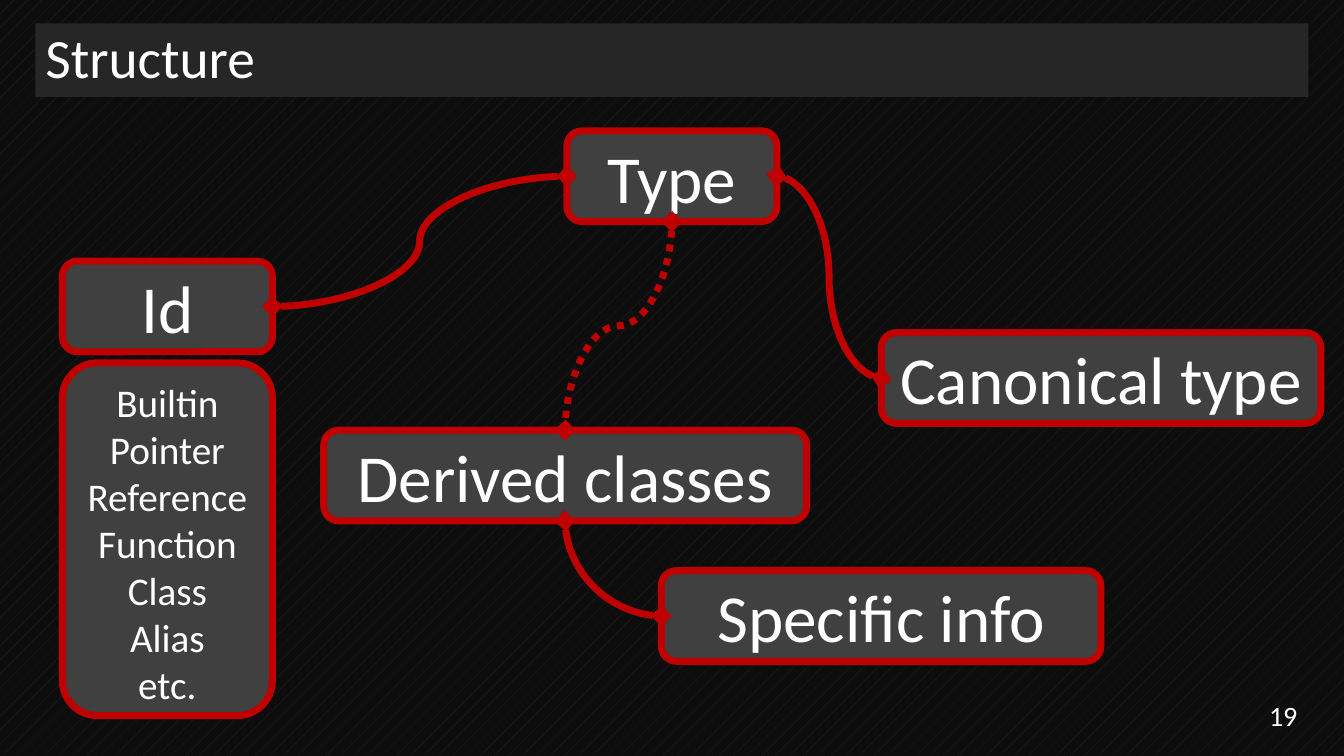
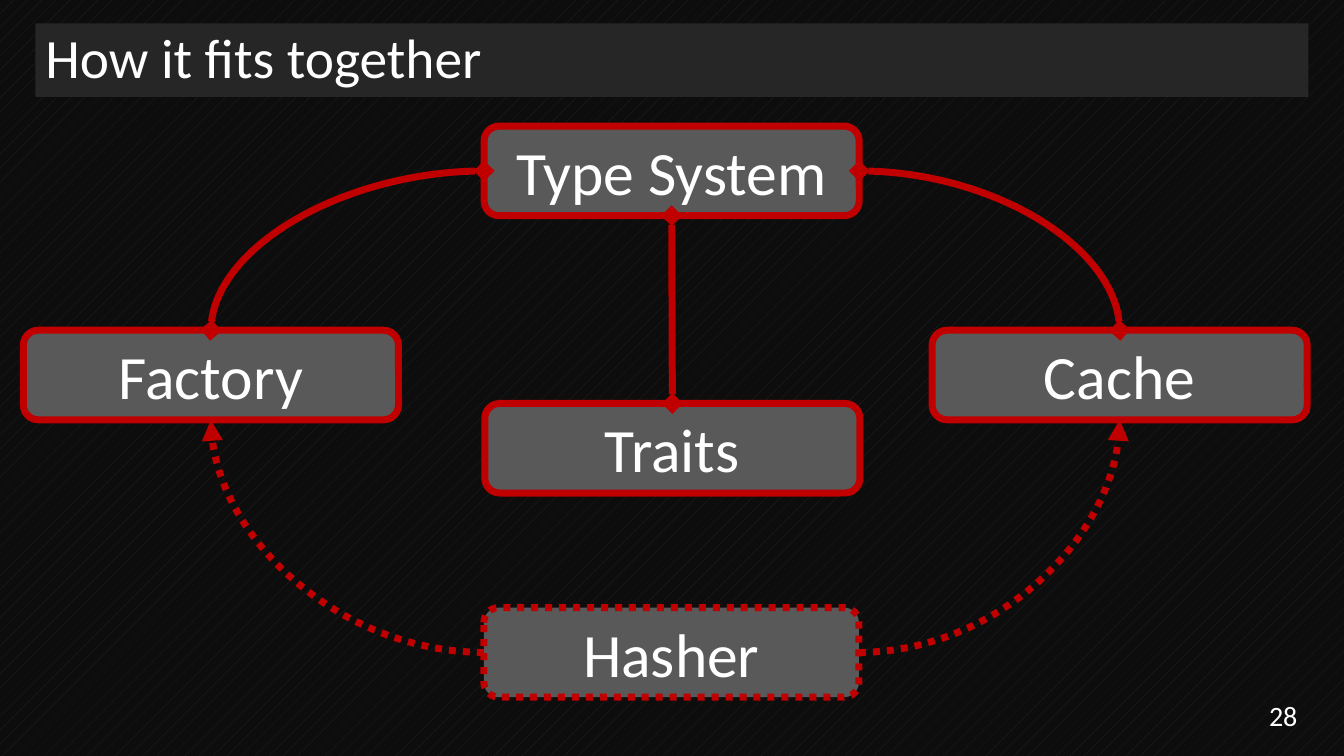
from dataclasses import dataclass
from lxml.etree import SubElement as Sub
from pptx import Presentation
from pptx.dml.color import RGBColor as RGB
from pptx.enum.dml import MSO_LINE as Dash, MSO_PATTERN as Pattern
from pptx.enum.shapes import MSO_CONNECTOR as Link, MSO_SHAPE as Form
from pptx.enum.text import MSO_ANCHOR as Anchor, MSO_AUTO_SIZE as Fit, PP_ALIGN as Align
from pptx.oxml.ns import qn
from pptx.util import Pt


@dataclass(frozen=True)
class Theme:
    font: str = "Calibri"
    back: RGB = RGB(0x0D, 0x0D, 0x0D)
    band: RGB = RGB(0x26, 0x26, 0x26)
    dark: RGB = RGB(0x40, 0x40, 0x40)
    grey: RGB = RGB(0x59, 0x59, 0x59)
    red: RGB = RGB(0xC0, 0x00, 0x00)
    white: RGB = RGB(0xFF, 0xFF, 0xFF)
    title: float = 39.6
    large: float = 48
    mid: float = 44
    small: float = 28
    page: float = 20
    line: float = 5


T = Theme()
TOP, LEFT, BOTTOM, RIGHT = range(4)  # connection sites of a box


# Formatting helpers
def apply(obj, values):
    for name, value in values.items():
        setattr(obj, name, value)


def place(left, top, width, height):
    return dict(left=Pt(left), top=Pt(top), width=Pt(width), height=Pt(height))


def paint(fill, color):
    fill.solid()
    fill.fore_color.rgb = color


def stroke(line, dotted):
    line.color.rgb = T.red
    line.width = Pt(T.line)
    if dotted:
        line.dash_style = Dash.ROUND_DOT


def write(shape, text, size, align, anchor=Anchor.MIDDLE, **para):
    frame = shape.text_frame
    frame.text = text
    apply(frame, dict(word_wrap=True, auto_size=Fit.NONE, vertical_anchor=anchor))
    for line in frame.paragraphs:
        apply(line, dict(alignment=align, **para))
        for run in line.runs:
            apply(run.font, dict(name=T.font, size=Pt(size)))
            run.font.color.rgb = T.white


# Shared frame: title band and page number
def start(deck, title, page):
    slide = deck.slides.add_slide(deck.slide_layouts[5])
    band = slide.shapes.title
    apply(band, place(25.2, 16.6, 909.4, 52.6))
    paint(band.fill, T.band)
    write(band, title, T.title, Align.LEFT, line_spacing=0.9)
    num = slide.shapes.add_textbox(**place(852.5, 496.8, 81.4, 28.8))
    write(num, page, T.page, Align.RIGHT)
    return slide


# Diagram parts
def box(slide, text, spot, fill, size, dotted=False, anchor=Anchor.MIDDLE):
    shape = slide.shapes.add_shape(Form.ROUNDED_RECTANGLE, **place(*spot))
    shape.shadow.inherit = False
    paint(shape.fill, fill)
    stroke(shape.line, dotted)
    write(shape, text, size, Align.CENTER, anchor)
    return shape


def join(slide, first, site, last, goal, kind=Link.CURVE,
         dotted=False, head="diamond", tail="diamond"):
    link = slide.shapes.add_connector(kind, 0, 0, 0, 0)
    link.begin_connect(first, site)
    link.end_connect(last, goal)
    stroke(link.line, dotted)
    props = link.element.spPr
    Sub(props, qn("a:effectLst"))
    ends = props.find(qn("a:ln"))
    for tag, end in (("a:headEnd", head), ("a:tailEnd", tail)):
        if end:
            Sub(ends, qn(tag), type=end)
    if kind == Link.CURVE:
        if site % 2 != goal % 2:
            props.find(qn("a:prstGeom")).set("prst", "curvedConnector2")
        elif site == BOTTOM:
            turn(link)
    return link


def turn(link):
    """Make a curve that runs down to the left leave vertically."""
    wide, high = link.width, link.height
    shift = (wide - high) // 2
    apply(link, dict(left=link.left + shift, top=link.top - shift,
                     width=high, height=wide))
    form = link.element.spPr.find(qn("a:xfrm"))
    form.attrib.pop("flipH", None)
    form.set("rot", "5400000")


# Slides
def structure(deck):
    slide = start(deck, "Structure", "19")
    high = 64.8

    def node(text, left, top, width):
        return box(slide, text, (left, top, width, high), T.dark, T.large)

    base = node("Type", 404.9, 93.5, 150)
    ident = node("Id", 44.6, 186.5, 150)
    canon = node("Canonical type", 629.5, 237.6, 314)
    derived = node("Derived classes", 231.2, 307.3, 345)
    info = node("Specific info", 472.4, 407.6, 314)
    kinds = "Builtin\nPointer\nReference\nFunction\nClass\nAlias\netc."
    box(slide, kinds, (44.6, 259.2, 150, 252), T.dark, T.small, anchor=Anchor.TOP)

    join(slide, base, LEFT, ident, RIGHT)
    join(slide, base, RIGHT, canon, LEFT)
    join(slide, base, BOTTOM, derived, TOP, dotted=True)
    join(slide, info, LEFT, derived, BOTTOM)


def together(deck):
    slide = start(deck, "How it fits together", "28")
    wide, high = 268, 64

    def node(text, left, top, dotted=False):
        return box(slide, text, (left, top, wide, high), T.grey, T.mid, dotted)

    system = node("Type System", 345.8, 90.1)
    maker = node("Factory", 16.7, 235.9)
    cache = node("Cache", 665.8, 235.9)
    hasher = node("Hasher", 345.6, 434)
    stroke(hasher.line, True)
    traits = node("Traits", 346.3, 288.2)

    for site, goal in ((LEFT, maker), (RIGHT, cache)):
        join(slide, system, site, goal, TOP)
        join(slide, hasher, site, goal, BOTTOM, dotted=True, head=None, tail="triangle")
    join(slide, system, BOTTOM, traits, TOP, Link.STRAIGHT)


def main():
    deck = Presentation()
    apply(deck, dict(slide_width=Pt(960), slide_height=Pt(540)))
    fill = deck.slide_master.background.fill
    fill.patterned()
    fill.pattern = Pattern.PERCENT_5
    fill.fore_color.rgb = T.band
    fill.back_color.rgb = T.back
    structure(deck)
    together(deck)
    deck.save("out.pptx")


main()
